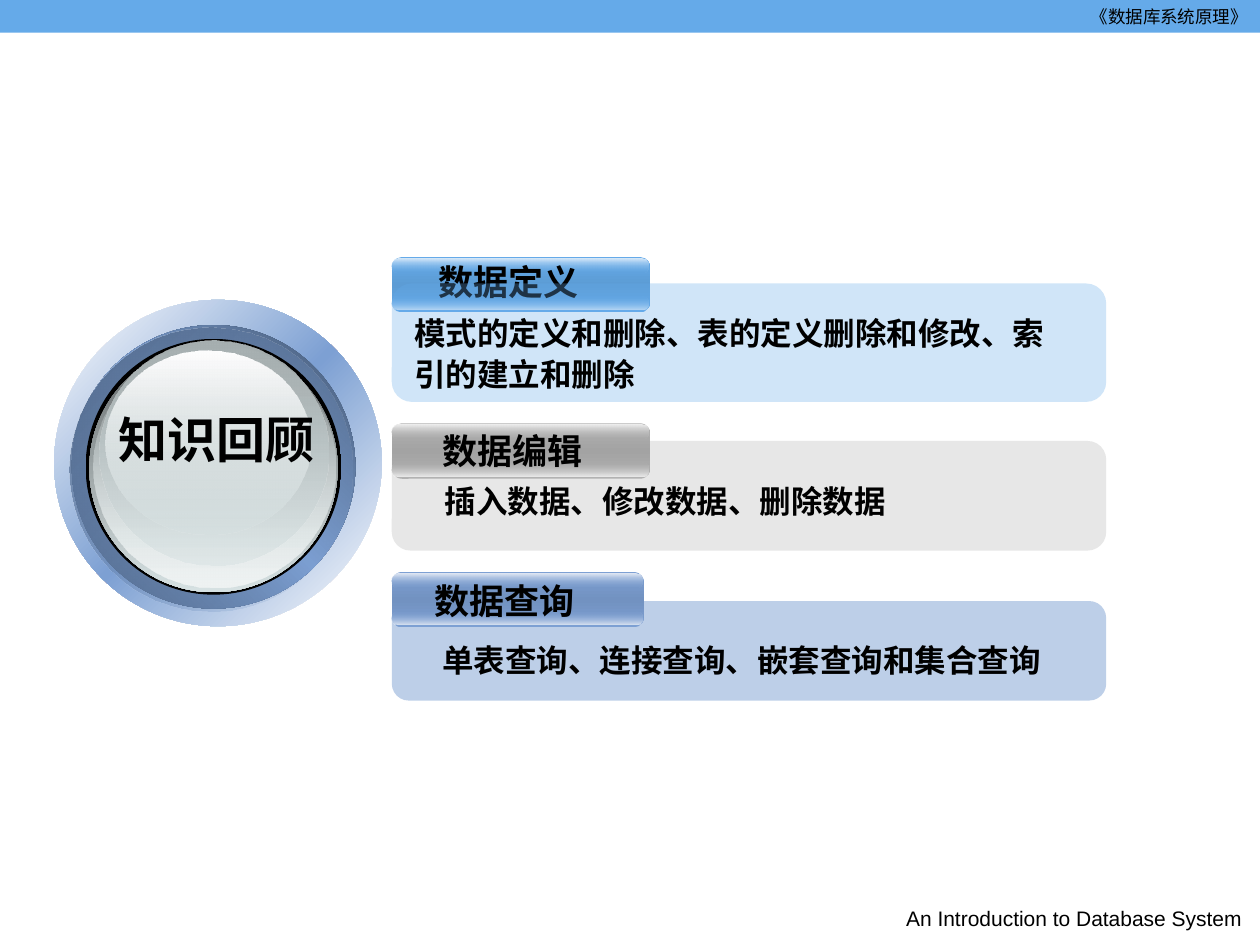
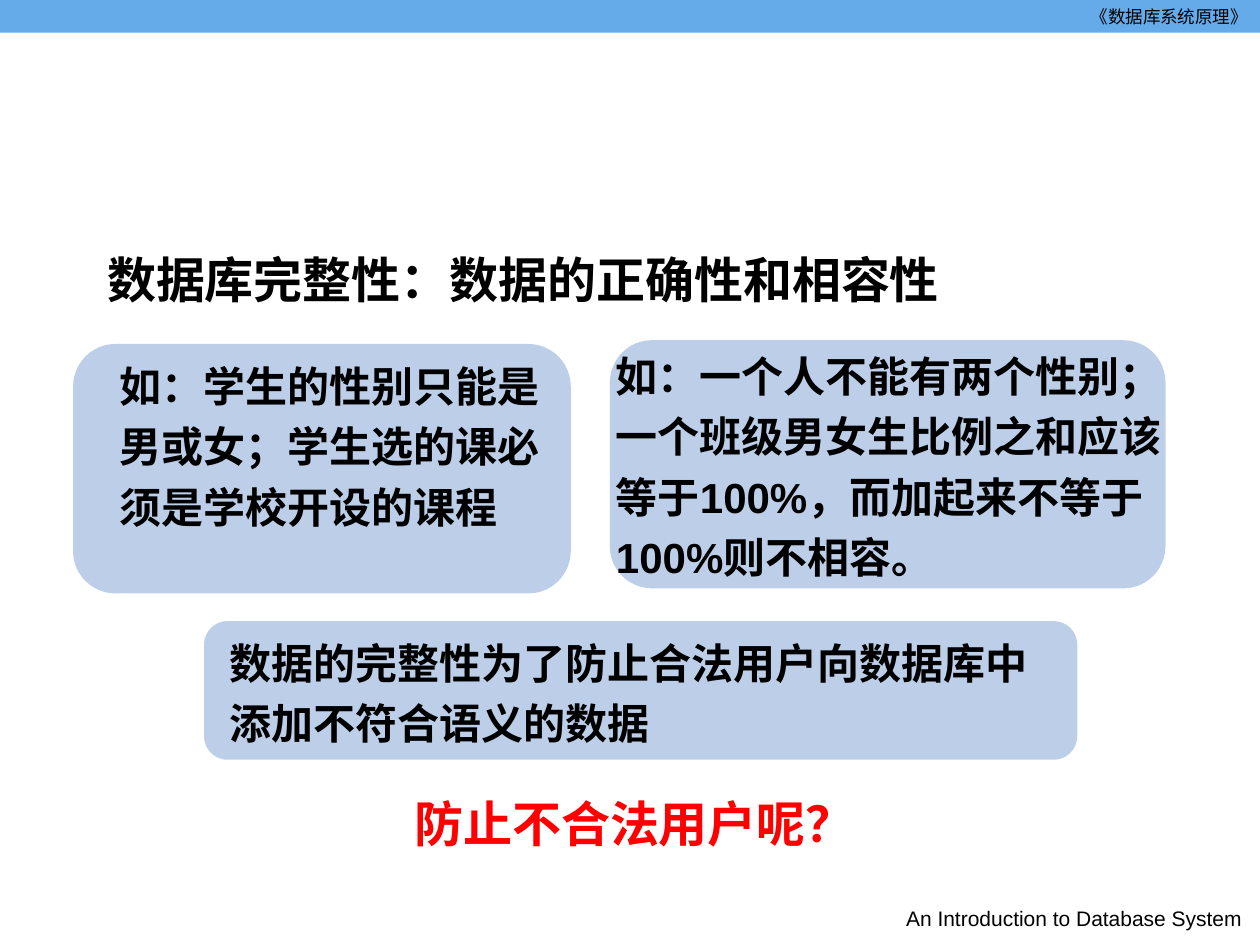
from typing import NamedTuple

from lxml import etree
from pptx import Presentation
from pptx.dml.color import RGBColor
from pptx.enum.shapes import MSO_SHAPE
from pptx.enum.text import MSO_ANCHOR, PP_ALIGN
from pptx.oxml.ns import qn
from pptx.util import Pt

PX = 9144
PAGE_WIDTH, PAGE_HEIGHT = 1000, 750
FONT = "Arial"

RECTANGLE = MSO_SHAPE.RECTANGLE
ROUNDED = MSO_SHAPE.ROUNDED_RECTANGLE
OVAL = MSO_SHAPE.OVAL
TOP = MSO_ANCHOR.TOP
LEFT, CENTER, RIGHT = PP_ALIGN.LEFT, PP_ALIGN.CENTER, PP_ALIGN.RIGHT

BLACK = RGBColor(0x00, 0x00, 0x00)
RED = RGBColor(0xFF, 0x00, 0x00)
SKY = RGBColor(0x65, 0xAA, 0xE9)
SKY_DARK = RGBColor(0x5C, 0x9C, 0xD5)
SKY_PALE = RGBColor(0xDB, 0xEB, 0xF9)
SKY_FAINT = RGBColor(0xDF, 0xED, 0xF9)
STEEL = RGBColor(0x7D, 0xA0, 0xD3)
STEEL_DARK = RGBColor(0x72, 0x92, 0xC1)
STEEL_PALE = RGBColor(0xE5, 0xEB, 0xF5)
STEEL_FAINT = RGBColor(0xDC, 0xE5, 0xF2)
STEEL_SHADE = RGBColor(0x4F, 0x65, 0x85)
STEEL_DEEP = RGBColor(0x43, 0x56, 0x71)
GRAY = RGBColor(0xB2, 0xB2, 0xB2)
GRAY_DARK = RGBColor(0xA3, 0xA3, 0xA3)
GRAY_PALE = RGBColor(0xF1, 0xF1, 0xF1)
GRAY_FAINT = RGBColor(0xEF, 0xEF, 0xEF)
PEARL = RGBColor(0xFE, 0xFE, 0xFE)
GLASS = RGBColor(0xD6, 0xE1, 0xE2)
GLASS_PALE = RGBColor(0xEF, 0xF3, 0xF3)
GLASS_SHADE = RGBColor(0xA8, 0xB1, 0xB2)
GLASS_DARK = RGBColor(0x62, 0x67, 0x68)


class Area(NamedTuple):
    left: int
    top: int
    width: int
    height: int

    def emu(self) -> list[int]:
        return [length * PX for length in self]


class Stop(NamedTuple):
    position: int
    color: RGBColor
    alpha: int = 100


class Style(NamedTuple):
    size: int
    bold: bool = True
    color: RGBColor = BLACK
    align: PP_ALIGN = LEFT
    spacing: float = 1.0


class Disc(NamedTuple):
    area: Area
    stops: list[Stop]
    angle: int = 90


class Palette(NamedTuple):
    base: RGBColor
    middle: RGBColor
    top_gloss: RGBColor
    bottom_gloss: RGBColor
    alpha: int


class Topic(NamedTuple):
    label: str
    detail: str
    palette: Palette
    panel: Area
    tab: Area
    label_area: Area
    detail_area: Area
    panel_covers_tab: bool = False


class Card(NamedTuple):
    text: str
    panel: Area
    text_area: Area


HEADER_STYLE = Style(10, bold=False, align=RIGHT)
FOOTER_STYLE = Style(12, bold=False, align=CENTER)
HUB_STYLE = Style(28, align=CENTER)
LABEL_STYLE = Style(20)
DETAIL_STYLE = Style(18, spacing=1.1)
TITLE_STYLE = Style(28, spacing=1.5)
CARD_STYLE = Style(24, spacing=1.2)
QUESTION_STYLE = Style(28, color=RED, spacing=1.3)

DISCS = [
    Disc(Area(43, 238, 260, 259), [Stop(0, PEARL), Stop(50, STEEL), Stop(100, PEARL)], 225),
    Disc(Area(57, 258, 225, 225),
         [Stop(0, STEEL_DEEP), Stop(50, STEEL), Stop(100, STEEL_DEEP)], 135),
    Disc(Area(55, 260, 225, 225), [Stop(0, STEEL, 0), Stop(100, STEEL_SHADE)], 225),
    Disc(Area(68, 269, 203, 203), [Stop(0, BLACK), Stop(100, BLACK)]),
    Disc(Area(71, 273, 197, 197), [Stop(0, GLASS_DARK), Stop(100, GLASS)]),
    Disc(Area(74, 274, 192, 192), [Stop(0, GLASS, 0), Stop(100, GLASS_PALE)]),
    Disc(Area(79, 270, 182, 179), [Stop(0, GLASS_SHADE), Stop(100, GLASS, 48)]),
    Disc(Area(84, 278, 162, 146), [Stop(0, PEARL), Stop(100, GLASS, 38)]),
]

TOPICS = [
    Topic("数据定义", "模式的定义和删除、表的定义删除和修改、索引的建立和删除",
          Palette(SKY, SKY_DARK, SKY_PALE, SKY_FAINT, 30),
          Area(311, 225, 567, 94), Area(311, 204, 205, 44),
          Area(338, 202, 131, 44), Area(319, 241, 537, 76), panel_covers_tab=True),
    Topic("数据查询", "单表查询、连接查询、嵌套查询和集合查询",
          Palette(STEEL, STEEL_DARK, STEEL_PALE, STEEL_FAINT, 50),
          Area(311, 477, 567, 79), Area(311, 454, 200, 44),
          Area(335, 455, 131, 44), Area(341, 501, 521, 43)),
    Topic("数据编辑", "插入数据、修改数据、删除数据",
          Palette(GRAY, GRAY_DARK, GRAY_PALE, GRAY_FAINT, 30),
          Area(311, 350, 567, 87), Area(311, 336, 205, 44),
          Area(341, 336, 131, 44), Area(343, 375, 632, 43)),
]

CARDS = [
    Card("数据的完整性为了防止合法用户向数据库中添加不符合语义的数据",
         Area(162, 493, 693, 110), Area(172, 493, 672, 106)),
    Card("如：学生的性别只能是男或女；学生选的课必须是学校开设的课程",
         Area(58, 273, 395, 198), Area(85, 273, 362, 154)),
    Card("如：一个人不能有两个性别；一个班级男女生比例之和应该等于100%，而加起来不等于100%则不相容。",
         Area(484, 270, 441, 197), Area(479, 265, 462, 202)),
]


def set_alpha(color_element, alpha: int) -> None:
    etree.SubElement(color_element, qn("a:alpha")).set("val", str(alpha * 1000))


def add_plain_shape(page, kind, area: Area, corner: float | None = None):
    shape = page.shapes.add_shape(kind, *area.emu())
    shape.shadow.inherit = False
    shape.line.fill.background()
    if corner is not None:
        shape.adjustments[0] = corner
    return shape


def fill_solid(shape, color: RGBColor, alpha: int = 100) -> None:
    shape.fill.solid()
    shape.fill.fore_color.rgb = color
    if alpha < 100:
        set_alpha(shape.element.spPr.find(".//" + qn("a:srgbClr")), alpha)


def fill_gradient(shape, stops: list[Stop], angle: int = 90) -> None:
    shape.fill.gradient()
    shape.fill.gradient_angle = 360 - angle
    stop_list = shape.element.spPr.find(".//" + qn("a:gsLst"))
    stop_list.clear()
    for stop in stops:
        entry = etree.SubElement(stop_list, qn("a:gs"))
        entry.set("pos", str(stop.position * 1000))
        color = etree.SubElement(entry, qn("a:srgbClr"))
        color.set("val", str(stop.color))
        if stop.alpha < 100:
            set_alpha(color, stop.alpha)


def write_text(box, text: str, style: Style, wrap: bool = True) -> None:
    frame = box.text_frame
    frame.text = text
    frame.word_wrap = wrap
    frame.vertical_anchor = TOP
    para = frame.paragraphs[0]
    para.alignment = style.align
    para.line_spacing = style.spacing
    para.space_before = Pt(0)
    for span in para.runs:
        span.font.name = FONT
        span.font.size = Pt(style.size)
        span.font.bold = style.bold
        span.font.color.rgb = style.color


def add_text(page, area: Area, text: str, style: Style, wrap: bool = True) -> None:
    write_text(page.shapes.add_textbox(*area.emu()), text, style, wrap)


def add_frame(page) -> None:
    band = add_plain_shape(page, RECTANGLE, Area(0, 0, PAGE_WIDTH, 26))
    fill_solid(band, SKY)
    add_text(page, Area(650, 0, 350, 25), "《数据库系统原理》", HEADER_STYLE)
    add_text(page, Area(705, 714, 295, 35), "An Introduction to Database System", FOOTER_STYLE)


def add_panel(page, area: Area, color: RGBColor, alpha: int) -> None:
    fill_solid(add_plain_shape(page, ROUNDED, area, 0.17), color, alpha)


def add_tab(page, topic: Topic) -> None:
    tab, palette = topic.tab, topic.palette
    base = palette.base
    body = add_plain_shape(page, ROUNDED, tab, 0.18)
    fill_gradient(body, [Stop(0, base), Stop(50, palette.middle), Stop(100, base)])
    glosses = [
        (31, [Stop(0, base, 0), Stop(100, palette.bottom_gloss)]),
        (1, [Stop(0, palette.top_gloss), Stop(100, base, 0)]),
    ]
    for offset, stops in glosses:
        area = Area(tab.left, tab.top + offset, tab.width - 1, 11)
        fill_gradient(add_plain_shape(page, ROUNDED, area, 0.5), stops)
    add_text(page, topic.label_area, topic.label, LABEL_STYLE, wrap=False)


def add_topic(page, topic: Topic) -> None:
    if topic.panel_covers_tab:
        add_tab(page, topic)
    add_panel(page, topic.panel, topic.palette.base, topic.palette.alpha)
    if not topic.panel_covers_tab:
        add_tab(page, topic)
    add_text(page, topic.detail_area, topic.detail, DETAIL_STYLE)


def build_review(deck) -> None:
    page = deck.slides.add_slide(deck.slide_layouts.get_by_name("Blank"))
    add_frame(page)
    for disc in DISCS:
        fill_gradient(add_plain_shape(page, OVAL, disc.area), disc.stops, disc.angle)
    add_text(page, Area(72, 320, 200, 57), "知识回顾", HUB_STYLE)
    for topic in TOPICS:
        add_topic(page, topic)


def build_integrity(deck) -> None:
    page = deck.slides.add_slide(deck.slide_layouts.get_by_name("Title Only"))
    add_frame(page)
    title = page.shapes.title
    title.left, title.top, title.width, title.height = Area(75, 170, 826, 85).emu()
    write_text(title, "数据库完整性：数据的正确性和相容性", TITLE_STYLE)
    for card in CARDS:
        add_panel(page, card.panel, STEEL, 50)
        add_text(page, card.text_area, card.text, CARD_STYLE)
    add_text(page, Area(319, 611, 417, 71), "防止不合法用户呢？", QUESTION_STYLE)


def main() -> None:
    deck = Presentation()
    deck.slide_width, deck.slide_height = PAGE_WIDTH * PX, PAGE_HEIGHT * PX
    build_review(deck)
    build_integrity(deck)
    deck.save("out.pptx")


if __name__ == "__main__":
    main()
